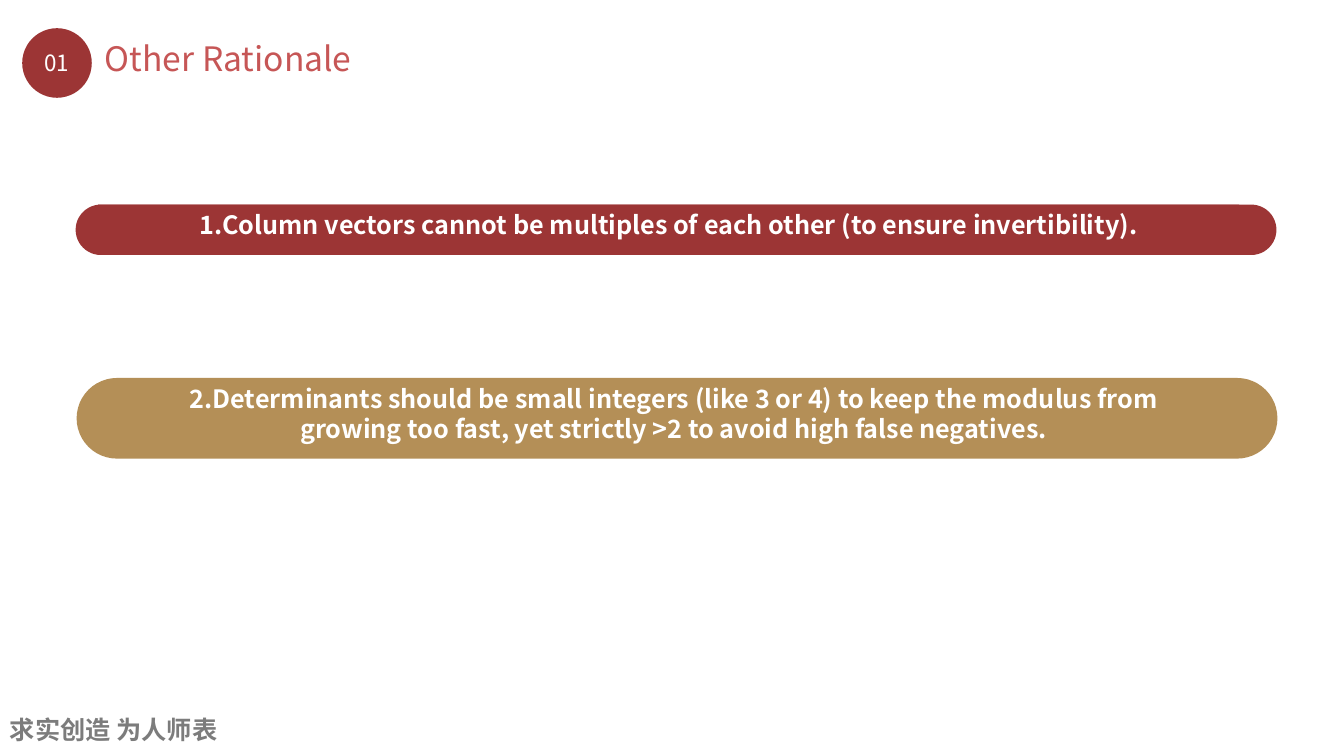
"""Build the "Other Rationale" slide."""
from lxml import etree
from pptx import Presentation
from pptx.dml.color import RGBColor
from pptx.enum import shapes, text
from pptx.oxml.ns import qn
from pptx.util import Inches, Pt

FONT = "Noto Sans CJK SC"
RED = RGBColor(0x9C, 0x35, 0x35)
ROSE = RGBColor(0xC6, 0x56, 0x56)
GOLD = RGBColor(0xB4, 0x8F, 0x57)
GRAY = RGBColor(0x7C, 0x7C, 0x7C)
WHITE = RGBColor(0xFF, 0xFF, 0xFF)


def write(shape, words, size, color, bold=False,
          align=text.PP_ALIGN.LEFT, anchor=text.MSO_ANCHOR.TOP):
    """Put one formatted run into a shape."""
    frame = shape.text_frame
    frame.word_wrap = True
    frame.auto_size = text.MSO_AUTO_SIZE.NONE
    frame.vertical_anchor = anchor
    paragraph = frame.paragraphs[0]
    paragraph.alignment = align
    run = paragraph.add_run()
    run.text = words
    run.font.name = FONT
    run.font.size = Pt(size)
    run.font.bold = bold
    run.font.color.rgb = color
    east_asian = etree.SubElement(run.font._element, qn("a:ea"))
    east_asian.set("typeface", FONT)


def add_filled(slide, kind, box, color):
    """Add a borderless filled shape."""
    shape = slide.shapes.add_shape(kind, *map(Inches, box))
    shape.shadow.inherit = False
    shape.fill.solid()
    shape.fill.fore_color.rgb = color
    shape.line.fill.background()
    return shape


def add_banner(slide, pill_box, label_box, color, words):
    """Add a pill with a centred statement on it."""
    pill = add_filled(slide, shapes.MSO_SHAPE.ROUNDED_RECTANGLE, pill_box, color)
    pill.adjustments[0] = 0.5
    label = add_filled(slide, shapes.MSO_SHAPE.RECTANGLE, label_box, color)
    write(label, words, 18, WHITE, True, text.PP_ALIGN.CENTER)


def add_heading(slide, number, words):
    """Place the title and its numbered circle."""
    title = slide.shapes.title
    title.left, title.top = Inches(0.97), Inches(0.34)
    title.width, title.height = Inches(2.76), Inches(0.48)
    frame = title.text_frame
    frame.margin_left = frame.margin_right = Inches(0.07)
    frame.margin_top = frame.margin_bottom = Inches(0.04)
    write(title, words, 24, ROSE)
    circle = add_filled(slide, shapes.MSO_SHAPE.OVAL, (0.22, 0.28, 0.69, 0.69), RED)
    write(circle, number, 16, WHITE, align=text.PP_ALIGN.CENTER,
          anchor=text.MSO_ANCHOR.MIDDLE)


def add_motto(slide, words):
    """Add the motto in the lower left corner."""
    motto = slide.shapes.add_textbox(Inches(0), Inches(7.04), Inches(2.84), Inches(0.4))
    write(motto, words, 18, GRAY, True)


def main():
    """Build and save the slide."""
    presentation = Presentation()
    presentation.slide_width = Inches(13.33)
    presentation.slide_height = Inches(7.5)
    slide = presentation.slides.add_slide(presentation.slide_layouts[5])
    add_motto(slide, "求实创造 为人师表")
    add_banner(slide, (0.76, 3.75, 11.91, 0.8), (1.52, 3.75, 10.32, 0.71), GOLD,
               "2.Determinants should be small integers (like 3 or 4) to keep the modulus "
               "from growing too fast, yet strictly >2 to avoid high false negatives.")
    add_banner(slide, (0.75, 2.03, 11.91, 0.5), (0.97, 2.03, 11.32, 0.4), RED,
               "1.Column vectors cannot be multiples of each other (to ensure invertibility).")
    add_heading(slide, "01", "Other Rationale")
    presentation.save("out.pptx")


if __name__ == "__main__":
    main()
